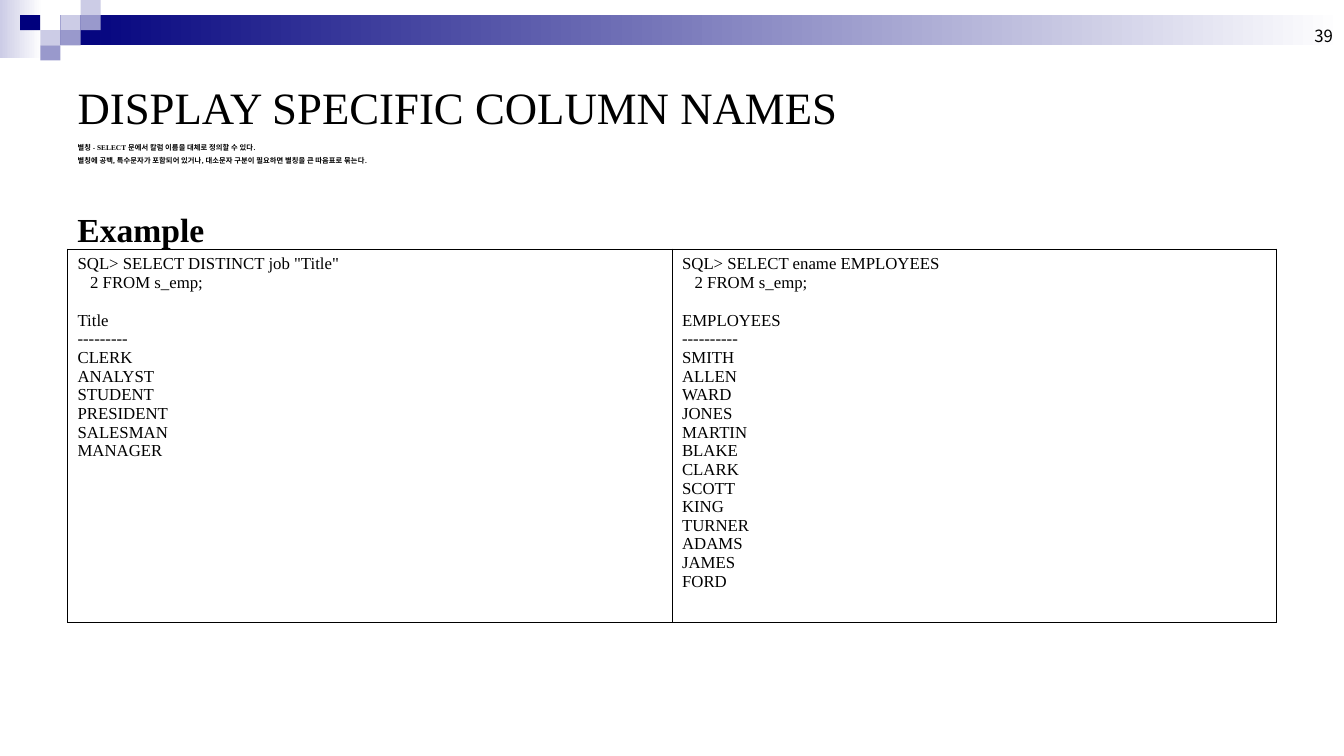
from dataclasses import dataclass
from typing import Any, Optional

from pptx import Presentation
from pptx.dml.color import RGBColor
from pptx.enum.shapes import MSO_SHAPE as Shape
from pptx.enum.text import MSO_ANCHOR as Anchor, MSO_AUTO_SIZE as AutoSize, PP_ALIGN as Align
from pptx.oxml.ns import qn
from pptx.util import Inches, Pt
from lxml.etree import SubElement


@dataclass(frozen=True)
class Theme:
    navy: str = "00007D"
    violet: str = "9999CC"
    lilac: str = "CCCCE6"
    white: str = "FFFFFF"
    ink: str = "000000"
    serif: str = "Times New Roman"
    korean: str = "Noto Sans CJK KR"
    title: float = 32
    heading: float = 24
    body: float = 12
    note: float = 5.24


@dataclass(frozen=True)
class Band:
    left: float
    top: float
    width: float
    height: float
    start: str
    end: Optional[str] = None


@dataclass(frozen=True)
class Frame:
    left: float
    top: float
    width: float
    height: float
    columns: int
    color: str
    bottom: float = 0.45


THEME = Theme()
TILE_W, TILE_H = 0.2, 0.15
TITLE = "DISPLAY SPECIFIC COLUMN NAMES"
NOTES = [
    "별칭 - SELECT 문에서 칼럼 이름을 대체로 정의할 수 있다.",
    "별칭에 공백, 특수문자가 포함되어 있거나, 대소문자 구분이 필요하면 별칭을 큰 따음표로 묶는다.",
]

# Header bars, then tiles given as (column, row, colour)
BARS = [
    Band(0, 0, 0.42, 0.58, THEME.lilac, THEME.white),
    Band(0.6, 0.15, 12.73, 0.3, THEME.navy, THEME.white),
]
TILES = [
    Band(col * TILE_W, row * TILE_H, TILE_W, TILE_H, color)
    for col, row, color in [
        (3, 1, THEME.lilac), (4, 0, THEME.lilac), (4, 1, THEME.violet),
        (2, 2, THEME.lilac), (1, 1, THEME.navy), (3, 2, THEME.violet),
        (2, 3, THEME.violet),
    ]
]

# Each example: query lines, then result lines
EXAMPLES = [
    (['SQL> SELECT DISTINCT job "Title"', "   2 FROM s_emp;"],
     ["Title", "---------", "CLERK", "ANALYST", "STUDENT", "PRESIDENT",
      "SALESMAN", "MANAGER"]),
    (["SQL> SELECT ename EMPLOYEES", "   2 FROM s_emp;"],
     ["EMPLOYEES", "----------", "SMITH", "ALLEN", "WARD", "JONES", "MARTIN",
      "BLAKE", "CLARK", "SCOTT", "KING", "TURNER", "ADAMS", "JAMES", "FORD"]),
]
RULE_FRAME = Frame(2.23, 2.41, 8.92, 0.4, 1, THEME.white, bottom=1.47)
EXAMPLE_FRAME = Frame(0.67, 2.47, 12, 3.7, len(EXAMPLES), THEME.ink)


def apply(target: Any, formats: dict[str, Any]) -> None:
    for name, value in formats.items():
        setattr(target, name, value)


def place(s: Any, left: float, top: float, width: float, height: float) -> None:
    apply(s, {"left": Inches(left), "top": Inches(top),
              "width": Inches(width), "height": Inches(height)})


def draw_band(shapes: Any, band: Band) -> None:
    s = shapes.add_shape(Shape.RECTANGLE, Inches(band.left), Inches(band.top),
                         Inches(band.width), Inches(band.height))
    s.shadow.inherit = False
    s.line.fill.background()
    if band.end is None:
        s.fill.solid()
        s.fill.fore_color.rgb = RGBColor.from_string(band.start)
        return
    s.fill.gradient()
    s.fill.gradient_angle = 0
    for stop, color in zip(s.fill.gradient_stops, (band.start, band.end)):
        stop.color.rgb = RGBColor.from_string(color)


def write(tf: Any, lines: list[str], size: float, font: str = THEME.serif,
          bold: bool = False, **formats: Any) -> None:
    for i, line in enumerate(lines):
        p = tf.paragraphs[0] if i == 0 else tf.add_paragraph()
        apply(p, {"alignment": Align.LEFT, "space_before": Pt(0), **formats})
        if i == 0:
            p.space_before = Pt(0)
        r = p.add_run()
        r.text = line
        apply(r.font, {"name": font, "size": Pt(size), "bold": bold})
        r.font.color.rgb = RGBColor.from_string(THEME.ink)
        SubElement(r.font._element, qn("a:ea"), typeface=THEME.korean)


def border(cell: Any, frame: Frame) -> None:
    props = cell._tc.get_or_add_tcPr()
    for i, side in enumerate(("a:lnL", "a:lnR", "a:lnT", "a:lnB")):
        weight = frame.bottom if side == "a:lnB" else 0.45
        ln = SubElement(props, qn(side), w=str(Pt(weight)))
        SubElement(SubElement(ln, qn("a:solidFill")), qn("a:srgbClr"), val=frame.color)
        props.insert(i, ln)


def draw_frame(shapes: Any, frame: Frame) -> list[Any]:
    table = shapes.add_table(1, frame.columns, Inches(frame.left), Inches(frame.top),
                             Inches(frame.width), Inches(frame.height)).table
    apply(table, {"first_row": False, "horz_banding": False})
    cells = list(table.rows[0].cells)
    for cell in cells:
        cell.fill.background()
        border(cell, frame)
    return cells


def draw_examples(shapes: Any) -> None:
    for cell, (query, result) in zip(draw_frame(shapes, EXAMPLE_FRAME), EXAMPLES):
        cell.margin_top = Inches(0.06)
        write(cell.text_frame, query + result, THEME.body)
        # One line of space parts the result from its query
        cell.text_frame.paragraphs[len(query)].space_before = Pt(13.5)


def main() -> None:
    prs = Presentation()
    apply(prs, {"slide_width": Inches(13.34), "slide_height": Inches(7.5)})
    slide = prs.slides.add_slide(prs.slide_layouts[1])
    shapes = slide.shapes

    # Header decoration
    for band in BARS + TILES:
        draw_band(shapes, band)

    # Page number
    sp = shapes.add_textbox(Inches(10.22), 0, Inches(3.11), Inches(0.5))
    apply(sp.text_frame, {"word_wrap": True, "vertical_anchor": Anchor.BOTTOM})
    write(sp.text_frame, ["39"], THEME.body, THEME.korean, alignment=Align.RIGHT)

    # Title
    place(shapes.title, 0.67, 0.5, 12, 1.12)
    apply(shapes.title.text_frame, {"auto_size": AutoSize.NONE,
                                    "vertical_anchor": Anchor.MIDDLE})
    write(shapes.title.text_frame, [TITLE], THEME.title)

    # Notes on aliases
    notes = slide.placeholders[1]
    place(notes, 0.67, 1.39, 10.25, 0.44)
    tf = notes.text_frame
    apply(tf, {"auto_size": AutoSize.NONE, "vertical_anchor": Anchor.TOP})
    write(tf, NOTES, THEME.note, bold=True, line_spacing=0.8, space_before=Pt(4))
    for p in tf.paragraphs:
        props = p._p.get_or_add_pPr()
        for name in ("marL", "indent"):
            props.set(name, "0")
        SubElement(props, qn("a:buNone"))

    # Example heading, its rule and the queries
    sp = shapes.add_textbox(Inches(0.67), Inches(2.02), Inches(8.92), Inches(0.55))
    sp.text_frame.word_wrap = True
    write(sp.text_frame, ["Example"], THEME.heading, bold=True)
    draw_frame(shapes, RULE_FRAME)
    draw_examples(shapes)

    prs.save("out.pptx")


if __name__ == "__main__":
    main()
